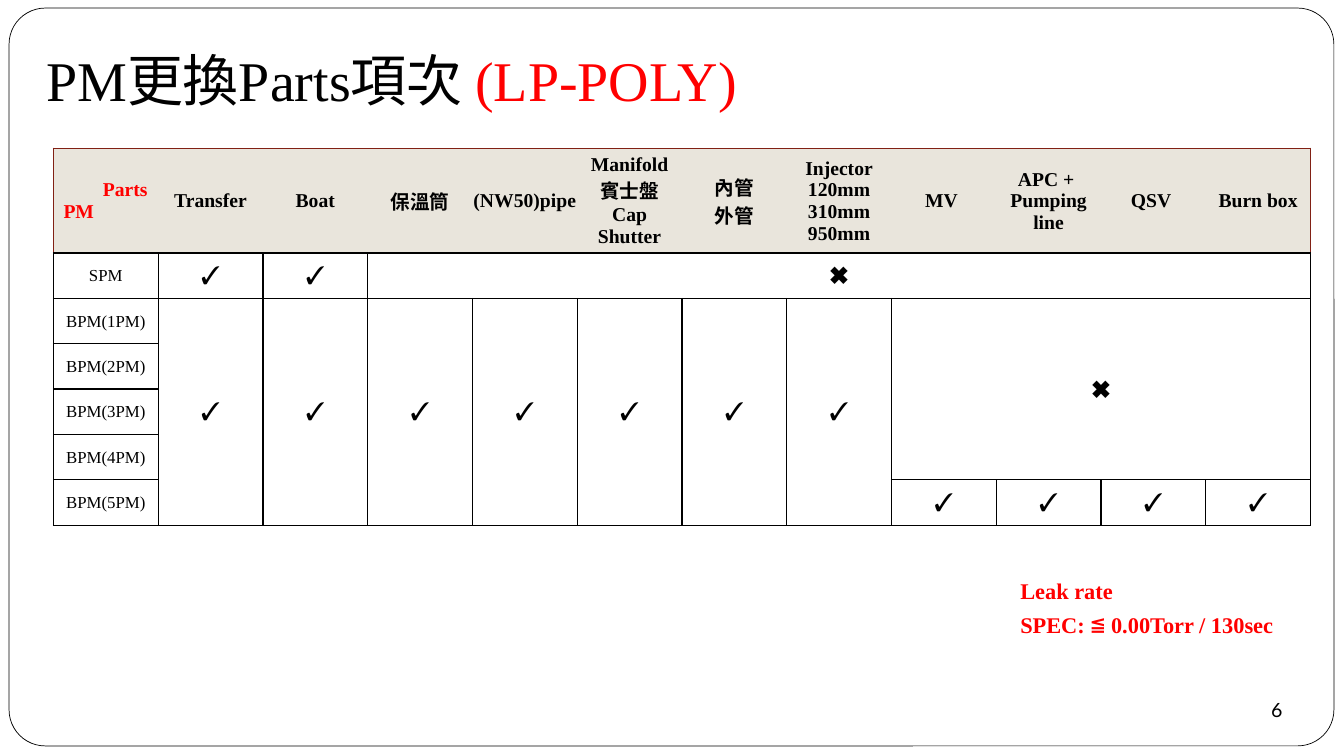
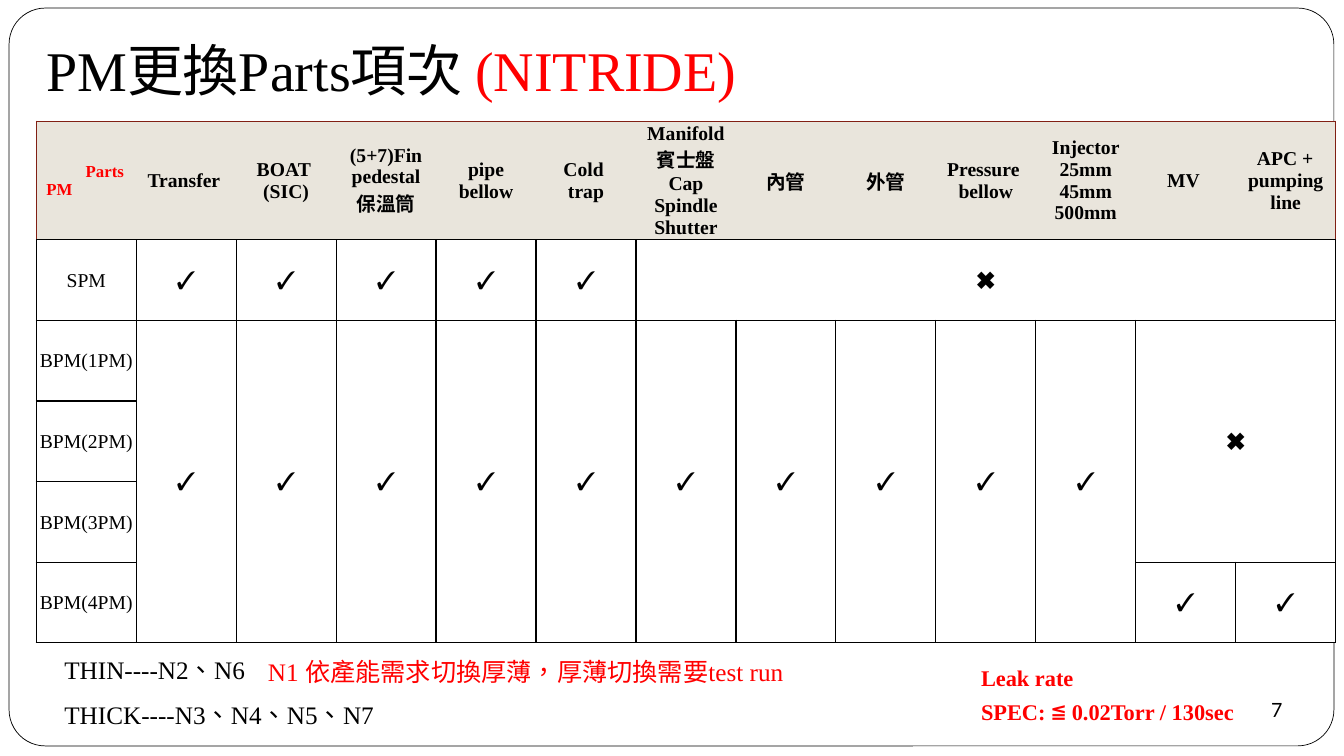
from lxml import etree
from pptx import Presentation, util as u
from pptx.dml.color import RGBColor
from pptx.enum import shapes, text
from pptx.oxml import ns

BLACK = RGBColor(0x00, 0x00, 0x00)
WHITE = RGBColor(0xFF, 0xFF, 0xFF)
RED = RGBColor(0xFF, 0x00, 0x00)
SAND = RGBColor(0xE9, 0xE5, 0xDC)
MAROON = RGBColor(0x81, 0x20, 0x14)
SERIF, SANS, CJK = "Times New Roman", "Lato", "Noto Sans CJK SC"
NO_STYLE = "{2D5ABB26-0587-4C30-8999-92F81FD0307C}"
CHECK, CROSS = "✓", "✖"
LEFT, CENTER = text.PP_ALIGN.LEFT, text.PP_ALIGN.CENTER
MIDDLE = text.MSO_ANCHOR.MIDDLE

PAGES = [
    dict(
        number="6", title_top=0.32, process="(LP-POLY)",
        table=(0.53, 1.47, 12.47), header_height=1.04, row_height=0.45,
        corner_size=14, label_size=12, spm_checks=2, bpm_checks=7,
        parts=["Transfer", "Boat", "保溫筒", "(NW50)pipe",
               "Manifold\n賓士盤\nCap\nShutter", "內管\n外管",
               "Injector\n120mm\n310mm\n950mm", "MV ", "APC + \nPumping line",
               "QSV ", "Burn box"],
        stages=["SPM", "BPM(1PM)", "BPM(2PM)", "BPM(3PM)", "BPM(4PM)", "BPM(5PM)"],
        leak_at=(10.11, 5.69), leak="SPEC: ≦ 0.00Torr / 130sec",
        notes=[],
    ),
    dict(
        number="7", title_top=0.22, process="(NITRIDE)",
        table=(0.36, 1.2, 12.89), header_height=1.15, row_height=0.8,
        corner_size=12, label_size=14, spm_checks=5, bpm_checks=10,
        parts=["Transfer ", "BOAT \n(SIC)", "(5+7)Fin\npedestal\n保溫筒",
               "pipe\nbellow", "Cold \ntrap",
               "Manifold\n賓士盤\nCap\nSpindle\nShutter", "內管", "外管",
               "Pressure \nbellow", "Injector\n25mm\n45mm\n500mm", "MV ",
               " APC + \npumping line"],
        stages=["SPM", "BPM(1PM)", "BPM(2PM)", "BPM(3PM)", "BPM(4PM)"],
        leak_at=(9.72, 6.56), leak="SPEC: ≦ 0.02Torr / 130sec",
        notes=[
            (0.54, 6.44, 2.74, [("THIN----N2、N6", SERIF, BLACK)]),
            (0.54, 6.89, 3.98, [("THICK----N3、N4、N5、N7", SERIF, BLACK)]),
            (2.56, 6.46, 6.67, [("N1 ", SERIF, RED),
                                ("依產能需求切換厚薄，厚薄切換需要", CJK, RED),
                                ("test run", SERIF, RED)]),
        ],
    ),
]


def write(frame, lines, size, bold=False, align=LEFT):
    """Fill a text frame; each line is a list of (words, font, colour)."""
    for index, line in enumerate(lines):
        para = frame.paragraphs[0] if index == 0 else frame.add_paragraph()
        para.alignment = align
        for words, font, colour in line:
            span = para.add_run()
            span.text = words
            span.font.name = font
            span.font.size = u.Pt(size)
            span.font.bold = bold
            span.font.color.rgb = colour
            span._r.get_or_add_rPr().set("lang", "zh-TW")


def style_cell(cell, fill, borders, inset=0.01):
    """Set fill, margins and borders; borders maps L, R, T, B to (colour, points)."""
    cell.vertical_anchor = MIDDLE
    cell.margin_left = cell.margin_right = u.Inches(inset)
    cell.margin_top = u.Inches(0.01)
    cell.margin_bottom = 0
    properties = cell._tc.get_or_add_tcPr()
    for side in "LRTB":
        if side in borders:
            colour, points = borders[side]
            line = etree.SubElement(properties, ns.qn("a:ln" + side), w=str(u.Pt(points)))
            solid = etree.SubElement(line, ns.qn("a:solidFill"))
            etree.SubElement(solid, ns.qn("a:srgbClr"), val=str(colour))
    cell.fill.solid()
    cell.fill.fore_color.rgb = fill


deck = Presentation()
deck.slide_width, deck.slide_height = u.Inches(13.33), u.Inches(7.5)

for content in PAGES:
    page = deck.slides.add_slide(deck.slide_layouts[6])

    # Page frame
    border = page.shapes.add_shape(
        shapes.MSO_SHAPE.ROUNDED_RECTANGLE,
        u.Inches(0.09), u.Inches(0.08), u.Inches(13.14), u.Inches(7.32))
    border.adjustments[0] = 0.049
    border.shadow.inherit = False
    border.fill.solid()
    border.fill.fore_color.rgb = WHITE
    border.line.color.rgb = BLACK
    border.line.width = u.Pt(0.5)

    # Title
    title = page.shapes.add_textbox(
        u.Inches(0.36), u.Inches(content["title_top"]), u.Inches(11.33), u.Inches(0.9))
    title.text_frame.word_wrap = True
    title.text_frame.vertical_anchor = text.MSO_ANCHOR.BOTTOM
    title.text_frame.margin_bottom = u.Inches(0.1)
    write(title.text_frame, [[("PM更換Parts項次 ", SERIF, BLACK),
                              (content["process"], SERIF, RED)]], 40)

    # Page number
    badge = page.shapes.add_shape(
        shapes.MSO_SHAPE.OVAL, u.Inches(12.33), u.Inches(6.79), u.Inches(0.67), u.Inches(0.5))
    badge.shadow.inherit = False
    badge.fill.solid()
    badge.fill.fore_color.rgb = WHITE
    badge.line.fill.background()
    frame = badge.text_frame
    frame.word_wrap = False
    frame.vertical_anchor = MIDDLE
    frame.margin_left = frame.margin_right = frame.margin_top = frame.margin_bottom = 0
    write(frame, [[(content["number"], SANS, BLACK)]], 14, align=CENTER)

    # Parts table: grid
    parts, stages = content["parts"], content["stages"]
    last_row, last_col = len(stages), len(parts)
    left, top, width = content["table"]
    height = content["header_height"] + last_row * content["row_height"]
    holder = page.shapes.add_table(
        last_row + 1, last_col + 1,
        u.Inches(left), u.Inches(top), u.Inches(width), u.Inches(height))
    table = holder.table
    table._tbl.tblPr.find(ns.qn("a:tableStyleId")).text = NO_STYLE
    table.first_row = table.horz_banding = False
    for column in table.columns:
        column.width = u.Inches(width / (last_col + 1))
    for index, row in enumerate(table.rows):
        row.height = u.Inches(content["row_height"] if index else content["header_height"])

    # Parts table: header
    for col in range(last_col + 1):
        edges = {"T": (MAROON, 0.75), "B": (BLACK, 1)}
        if col == 0:
            edges["L"] = (MAROON, 0.75)
        if col == last_col:
            edges["R"] = (MAROON, 0.75)
        cell = table.cell(0, col)
        style_cell(cell, SAND, edges, 0.01 if col else 0.1)
        if col:
            lines = [[(line, SERIF, BLACK)] for line in parts[col - 1].split("\n")]
            write(cell.text_frame, lines, 14, True, CENTER)
        else:
            write(cell.text_frame, [[("Parts", SERIF, RED)], [("PM", SERIF, RED)]],
                  content["corner_size"], True)
            indent = cell.text_frame.paragraphs[0]._p.get_or_add_pPr()
            indent.set("marL", str(u.Inches(0.39)))

    # Parts table: stage names and borders
    for row, stage in enumerate(stages, 1):
        for col in range(last_col + 1):
            style_cell(table.cell(row, col), WHITE, {side: (BLACK, 1) for side in "LRTB"})
        write(table.cell(row, 0).text_frame, [[(stage, SERIF, BLACK)]],
              content["label_size"], align=CENTER)

    # Parts table: marks as (first row, first column, last row, last column, mark)
    spm, bpm = content["spm_checks"], content["bpm_checks"]
    marks = [(1, col, 1, col, CHECK) for col in range(1, spm + 1)]
    marks += [(1, spm + 1, 1, last_col, CROSS)]
    marks += [(2, col, last_row, col, CHECK) for col in range(1, bpm + 1)]
    marks += [(2, bpm + 1, last_row - 1, last_col, CROSS)]
    marks += [(last_row, col, last_row, col, CHECK) for col in range(bpm + 1, last_col + 1)]
    for row, col, end_row, end_col, mark in marks:
        cell = table.cell(row, col)
        if (row, col) != (end_row, end_col):
            cell.merge(table.cell(end_row, end_col))
        write(cell.text_frame, [[(mark, SERIF, BLACK)]], 18, align=CENTER)

    # Leak rate table
    left, top = content["leak_at"]
    holder = page.shapes.add_table(
        2, 1, u.Inches(left), u.Inches(top), u.Inches(2.74), u.Inches(0.67))
    table = holder.table
    table._tbl.tblPr.find(ns.qn("a:tableStyleId")).text = NO_STYLE
    table.first_row = table.horz_banding = False
    for index, (words, row_height) in enumerate([("Leak rate", 0.35), (content["leak"], 0.32)]):
        table.rows[index].height = u.Inches(row_height)
        cell = table.cell(index, 0)
        style_cell(cell, WHITE, {})
        write(cell.text_frame, [[(words, SERIF, RED)]], 16, True)

    # Notes below the table
    for left, top, width, spans in content["notes"]:
        box = page.shapes.add_textbox(
            u.Inches(left), u.Inches(top), u.Inches(width), u.Inches(0.4))
        box.text_frame.word_wrap = True
        write(box.text_frame, [spans], 18)

deck.save("out.pptx")
